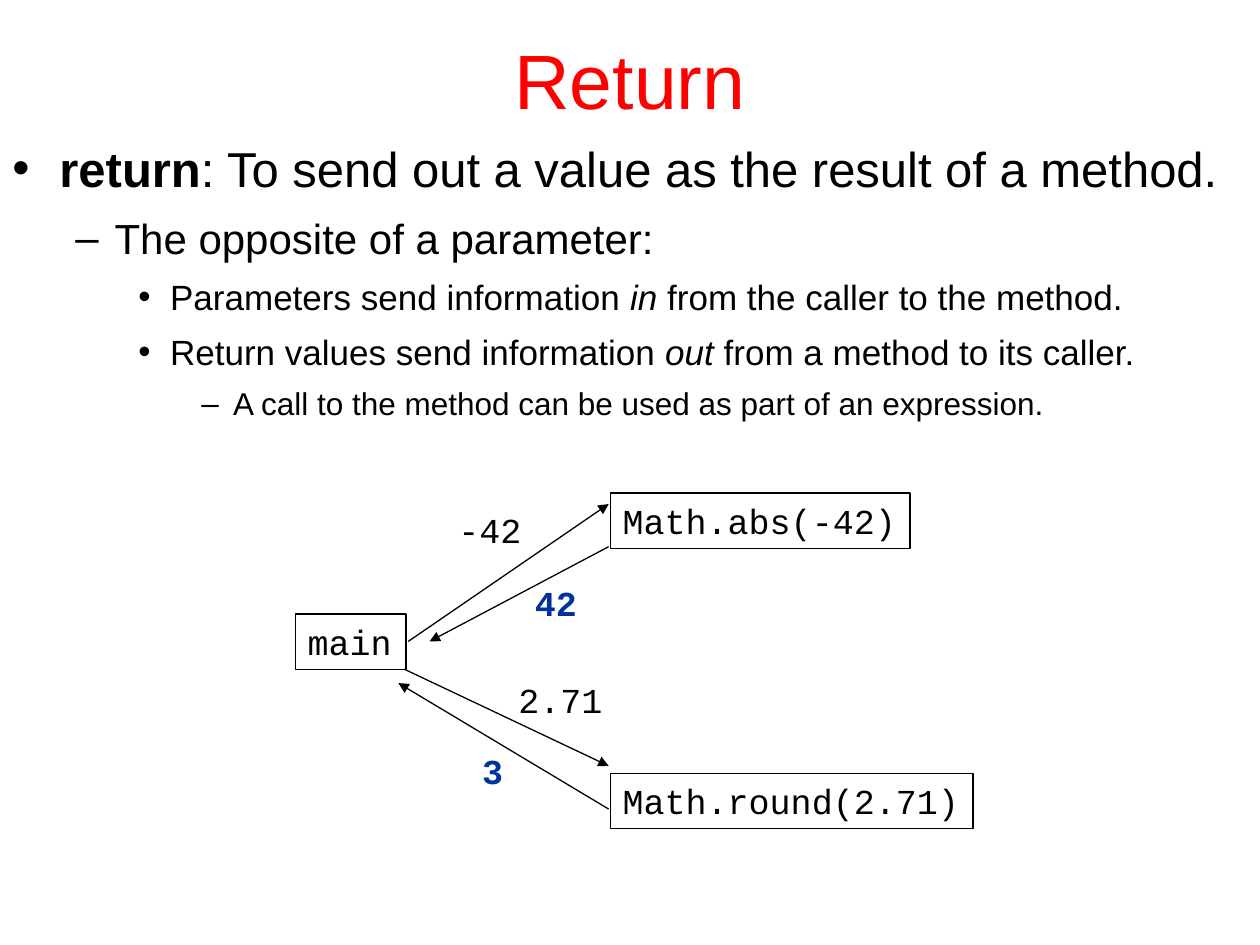
from lxml import etree
from pptx import Presentation
from pptx import util as u
from pptx.dml.color import RGBColor
from pptx.enum import shapes, text
from pptx.oxml import ns

BLACK = RGBColor(0x00, 0x00, 0x00)
RED = RGBColor(0xFF, 0x00, 0x00)
BLUE = RGBColor(0x00, 0x33, 0x99)
LINE_WIDTH = u.Pt(0.74)


def style(font, **values):
    """Set font attributes from a dict of values."""
    for name, value in values.items():
        if name == "color":
            font.color.rgb = value
        else:
            setattr(font, name, value)


def add_tag(parent, tag, **attributes):
    """Append a DrawingML element to a parent element."""
    return etree.SubElement(parent, ns.qn("a:" + tag), **attributes)


deck = Presentation()
deck.slide_width, deck.slide_height = u.Cm(25.4), u.Cm(19.05)
slide = deck.slides.add_slide(deck.slide_layouts[5])

heading = slide.shapes.title
heading.left, heading.top = u.Cm(1.9), u.Cm(0)
heading.width, heading.height = u.Cm(21.6), u.Cm(3.18)
heading.text_frame.text = "Return"
heading.text_frame.vertical_anchor = text.MSO_ANCHOR.MIDDLE
heading_line = heading.text_frame.paragraphs[0]
heading_line.alignment = text.PP_ALIGN.CENTER
style(heading_line.runs[0].font, name="Arial", size=u.Pt(44), color=RED)

# Outline: size, space before, text indent and hanging indent per level
LEVELS = [
    (28, 7, 0.95, 0.95, "•"),
    (24, 6, 2.06, 0.79, "–"),
    (20, 5, 3.18, 0.64, "•"),
    (18, 4.5, 4.45, 0.64, "–"),
]
OUTLINE = [
    (0, [("return", "bold"),
         (": To send out a value as the result of a method.", None)]),
    (1, [("The opposite of a parameter:", None)]),
    (2, [("Parameters send information ", None), ("in ", "italic"),
         ("from the caller to the method.", None)]),
    (2, [("Return values send information ", None), ("out ", "italic"),
         ("from a method to its caller.", None)]),
    (3, [("A call to the method can be used as part of an expression.", None)]),
]
outline = slide.shapes.add_textbox(u.Cm(0), u.Cm(2.54), u.Cm(25.4), u.Cm(14.17)).text_frame
outline.word_wrap = True
for index, (level, parts) in enumerate(OUTLINE):
    size, space, indent, hanging, bullet = LEVELS[level]
    point = outline.add_paragraph() if index else outline.paragraphs[0]
    point.level = level
    point.line_spacing = 1.1
    point.space_before = u.Pt(space)
    properties = point._p.get_or_add_pPr()
    properties.set("marL", str(u.Cm(indent)))
    properties.set("indent", str(-u.Cm(hanging)))
    add_tag(properties, "buFont", typeface="Arial")
    add_tag(properties, "buChar", char=bullet)
    for words, emphasis in parts:
        run = point.add_run()
        run.text = words
        style(run.font, name="Arial", size=u.Pt(size), color=BLACK)
        if emphasis:
            style(run.font, **{emphasis: True})

# Call diagram: methods are framed, returned values are bold blue
diagram = slide.shapes.add_group_shape().shapes
CHAR_WIDTH = u.Pt(12).cm  # 0.6 of the 20 pt size
SIDE_MARGINS = 0.54
CALL_LABELS = [
    ("main", 5.95, 12.38, "method"),
    ("Math.abs(-42)", 12.3, 9.94, "method"),
    ("Math.round(2.71)", 12.3, 15.59, "method"),
    ("-42", 8.99, 10.13, "argument"),
    ("2.71", 10.2, 13.56, "argument"),
    ("42", 10.53, 11.6, "result"),
    ("3", 9.47, 14.99, "result"),
]
for words, left, top, role in CALL_LABELS:
    width = SIDE_MARGINS + CHAR_WIDTH * len(words)
    label = diagram.add_textbox(u.Cm(left), u.Cm(top), u.Cm(width), u.Cm(1.12))
    label.text_frame.word_wrap = False
    label.text_frame.auto_size = text.MSO_AUTO_SIZE.SHAPE_TO_FIT_TEXT
    label.text_frame.text = words
    line = label.text_frame.paragraphs[0]
    line.space_before = u.Pt(5)
    style(line.runs[0].font, name="Courier New", size=u.Pt(20),
          bold=role == "result", color=BLUE if role == "result" else BLACK)
    if role == "method":
        label.line.color.rgb = BLACK
        label.line.width = LINE_WIDTH

CALL_ARROWS = [
    (8.23, 12.93, 12.27, 10.16),
    (12.27, 11.02, 8.66, 12.93),
    (8.15, 13.49, 12.27, 15.44),
    (12.27, 16.31, 8.03, 13.77),
]
for ends in CALL_ARROWS:
    arrow = diagram.add_connector(shapes.MSO_CONNECTOR.STRAIGHT, *map(u.Cm, ends))
    arrow.line.color.rgb = BLACK
    arrow.line.width = LINE_WIDTH
    add_tag(arrow.line._get_or_add_ln(), "tailEnd", type="triangle")
    add_tag(arrow._element.spPr, "effectLst")

deck.save("out.pptx")
